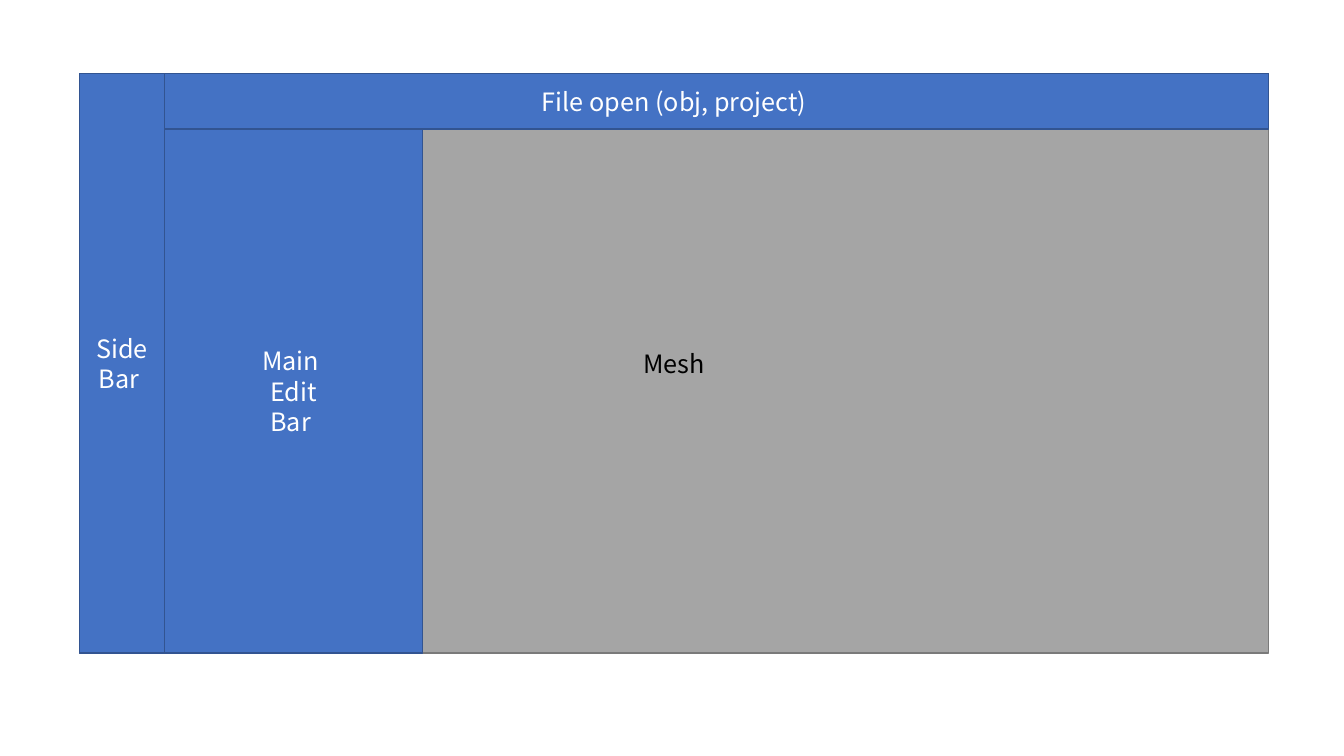
import pptx
import pptx.util
import pptx.dml.color
import pptx.enum.shapes
import pptx.enum.text
from dataclasses import dataclass


@dataclass(frozen=True)
class Theme:
    blue: str = "4472C4"
    navy: str = "325491"
    gray: str = "A5A5A5"
    slate: str = "7A7A7A"
    white: str = "FFFFFF"
    black: str = "000000"
    font: str = "Noto Sans CJK KR"
    size: float = 18
    pitch: float = 21.5
    edge: float = 1


THEME = Theme()
WIDTH, HEIGHT = 13.33, 7.5

# Grid edges in inches: side bar | edit bar | mesh, and file bar over the rest
COLS = [0.79, 1.63, 4.19, 12.58]
ROWS = [0.73, 1.28, 6.48]


def color(code):
    return pptx.dml.color.RGBColor.from_string(code)


def write(frame, lines, ink):
    """Put each line in a centred paragraph of its own."""
    frame.word_wrap = True
    frame.vertical_anchor = pptx.enum.text.MSO_ANCHOR.MIDDLE
    for index, line in enumerate(lines):
        para = frame.add_paragraph() if index else frame.paragraphs[0]
        para.alignment = pptx.enum.text.PP_ALIGN.CENTER
        para.line_spacing = pptx.util.Pt(THEME.pitch)
        run = para.add_run()
        run.text = line
        run.font.name = THEME.font
        run.font.size = pptx.util.Pt(THEME.size)
        run.font.color.rgb = color(ink)


def panel(slide, cols, rows, lines, fill=THEME.blue, line=THEME.navy, ink=THEME.white):
    """Draw a labelled box between two column edges and two row edges."""
    left, right = (COLS[col] for col in cols)
    top, base = (ROWS[row] for row in rows)
    box = slide.shapes.add_shape(
        pptx.enum.shapes.MSO_SHAPE.RECTANGLE,
        *map(pptx.util.Inches, (left, top, right - left, base - top)))
    box.shadow.inherit = False
    box.fill.solid()
    box.fill.fore_color.rgb = color(fill)
    box.line.color.rgb = color(line)
    box.line.width = pptx.util.Pt(THEME.edge)
    write(box.text_frame, lines, ink)


def main():
    deck = pptx.Presentation()
    deck.slide_width = pptx.util.Inches(WIDTH)
    deck.slide_height = pptx.util.Inches(HEIGHT)
    slide = deck.slides.add_slide(deck.slide_layouts[6])

    # Mesh view behind all bars
    panel(slide, (0, 3), (0, 2), ["Mesh"], THEME.gray, THEME.slate, THEME.black)

    # File, side and edit bars
    panel(slide, (0, 3), (0, 1), ["File open (obj, project)"])
    panel(slide, (0, 1), (0, 2), ["Side", "Bar "])
    panel(slide, (1, 2), (1, 2), ["Main ", "Edit", "Bar "])

    deck.save("out.pptx")


if __name__ == "__main__":
    main()
